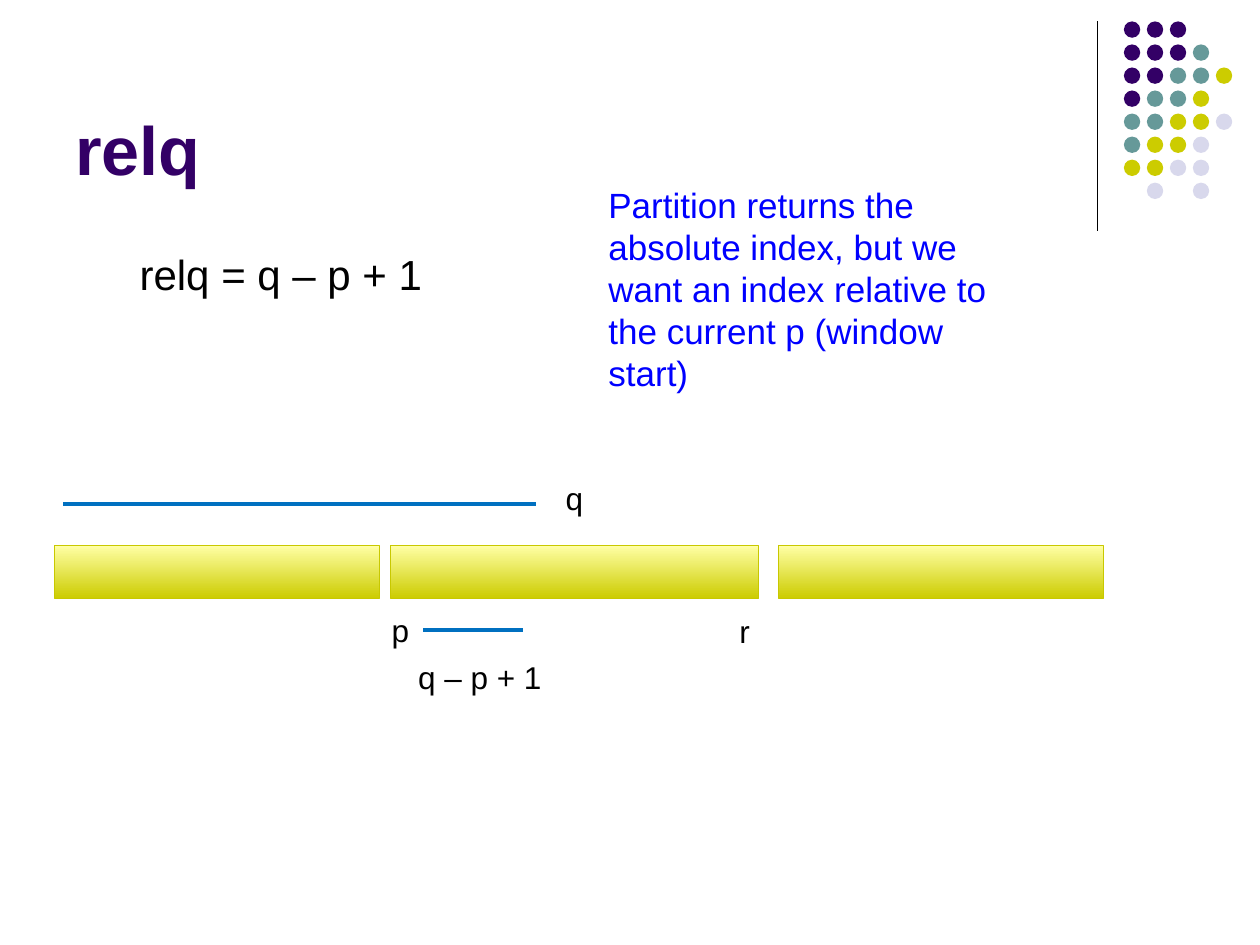
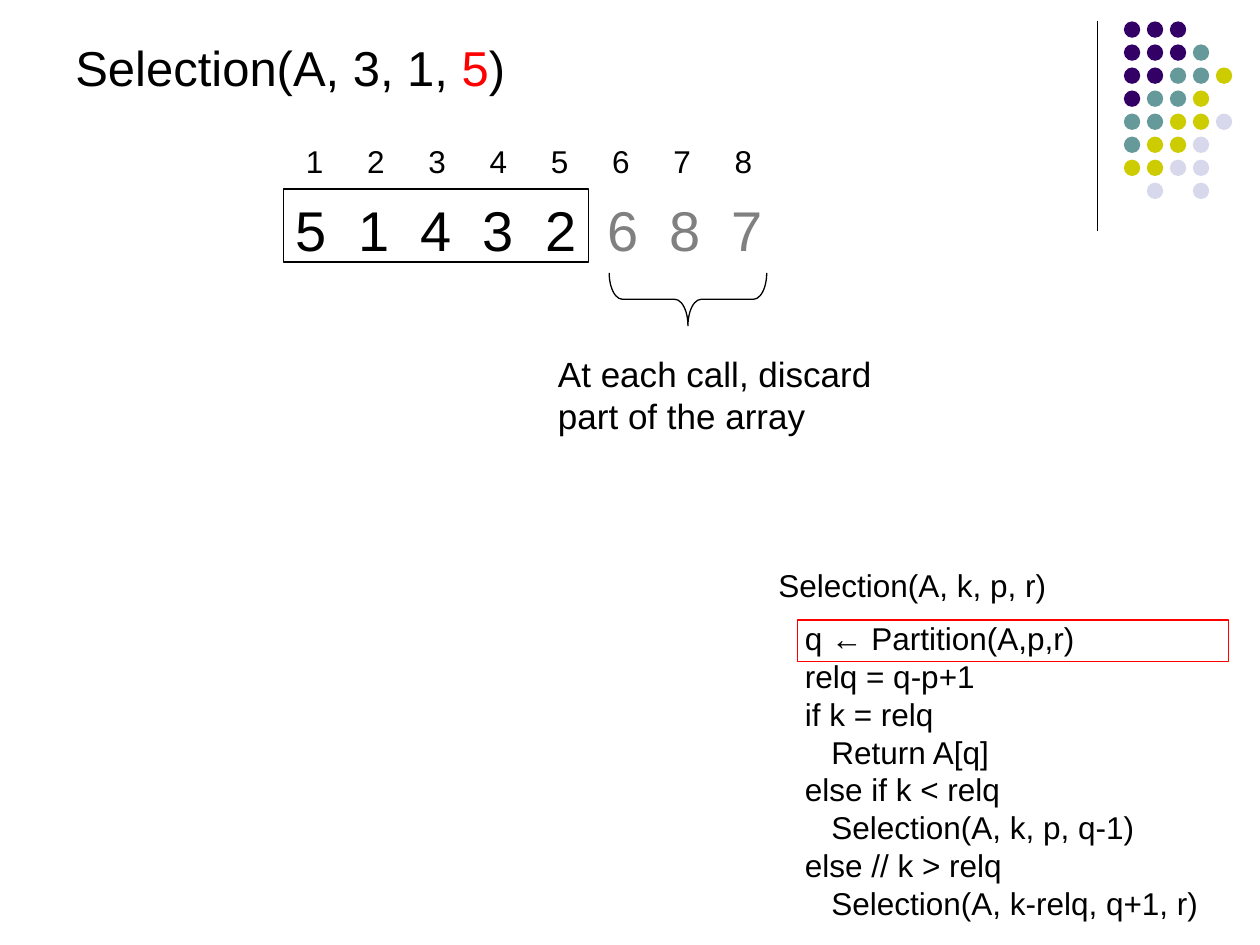
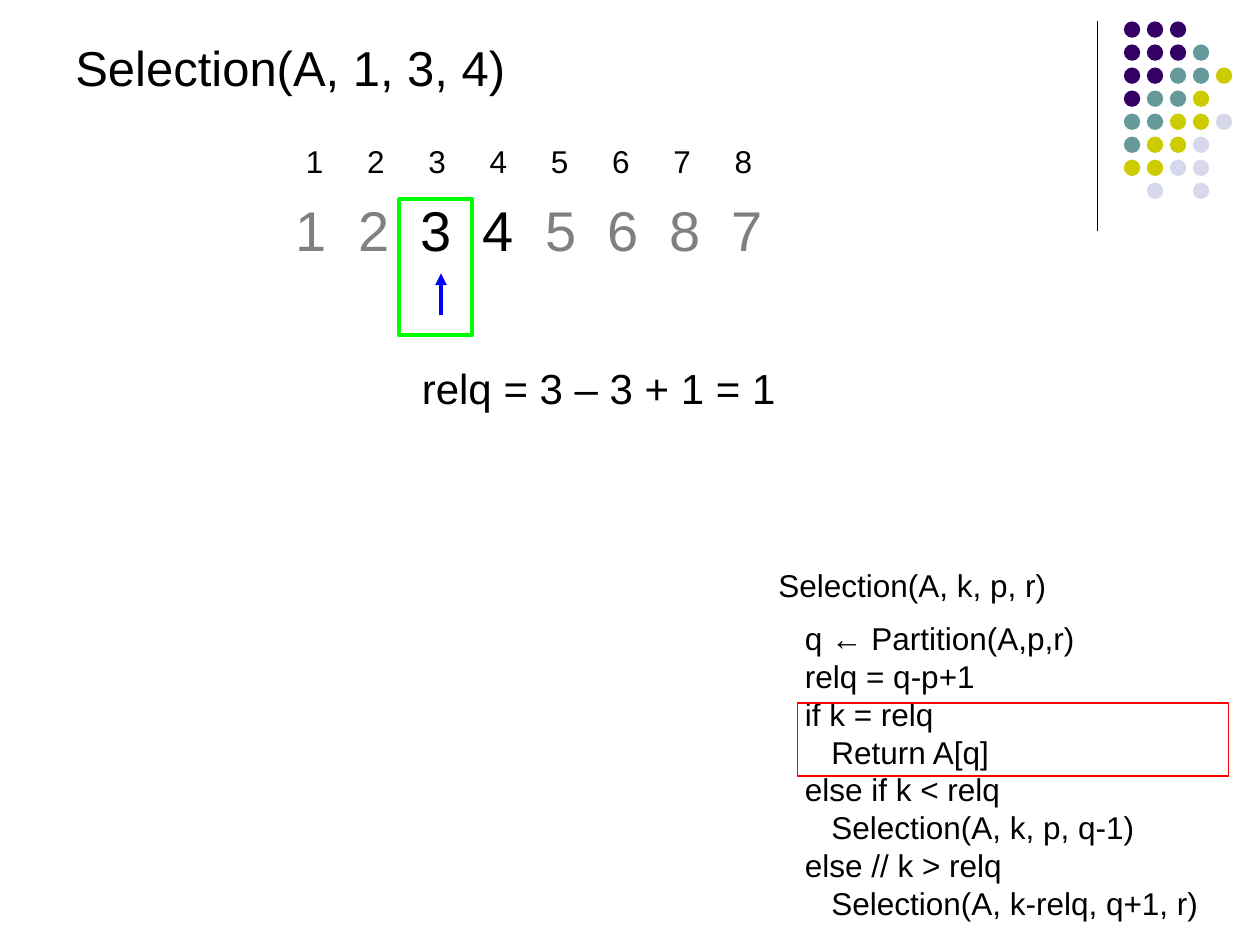
from dataclasses import dataclass

from lxml import etree
from pptx import Presentation
from pptx.dml.color import RGBColor
from pptx.enum.shapes import MSO_CONNECTOR, MSO_SHAPE
from pptx.enum.text import MSO_ANCHOR, MSO_AUTO_SIZE
from pptx.oxml.ns import qn
from pptx.util import Inches, Pt

RECTANGLE, ELLIPSE, BRACE = MSO_SHAPE.RECTANGLE, MSO_SHAPE.OVAL, MSO_SHAPE.LEFT_BRACE
STRAIGHT = MSO_CONNECTOR.STRAIGHT
TOP, BOTTOM = MSO_ANCHOR.TOP, MSO_ANCHOR.BOTTOM
GROW, FIXED = MSO_AUTO_SIZE.SHAPE_TO_FIT_TEXT, MSO_AUTO_SIZE.NONE


@dataclass(frozen=True)
class Theme:
    font: str = "Arial"
    black: str = "000000"
    grey: str = "808080"
    purple: str = "330066"
    teal: str = "669999"
    olive: str = "CCCC00"
    lavender: str = "D8D8EC"
    pale_yellow: str = "FFFFA5"
    bar_edge: str = "C8C800"
    blue: str = "0000FF"
    span_blue: str = "0070C0"
    red: str = "FF0000"
    green: str = "00FF00"
    title: int = 39
    digit: int = 32
    call: int = 28
    formula: int = 24
    note: int = 20
    label: int = 18
    thin: float = 0.75
    medium: float = 2
    thick: float = 2.25


THEME = Theme()


@dataclass(frozen=True)
class Box:
    left: float
    top: float
    width: float
    height: float

    def inside(self, left, top, width, height):
        return Box(self.left + left, self.top + top, width, height)

    def lengths(self):
        return [Inches(v) for v in (self.left, self.top, self.width, self.height)]


DOT_BOX = Box(8.92, 0.17, 0.86, 1.41)
DOT_SIZE = 0.13
DOT_COLOURS = {"P": THEME.purple, "T": THEME.teal, "O": THEME.olive, "L": THEME.lavender}
DOT_ROWS = ["PPP..", "PPPT.", "PPTTO", "PTTO.", "TTOOL", "TOOL.", "OOLL.", ".L.L."]

TITLE_BOX = Box(0.5, 0.13, 8.25, 1.42)
CALL_BOX = Box(0.5, 0.25, 6.42, 0.57)
ARRAY_BOX = Box(2.25, 1.08, 4.58, 1.05)
CODE_BOX = Box(6.08, 4.44, 3.75, 2.98)
PARTITION_BOX = Box(0.43, 3.75, 8.33, 1.82)

# Each line of pseudocode with its indent level
CODE_LINES = [
    (0, "Selection(A, k, p, r)"),
    (1, "q ← Partition(A,p,r)"),
    (1, "relq = q-p+1"),
    (1, "if k = relq"),
    (2, "Return A[q]"),
    (1, "else if k < relq"),
    (2, "Selection(A, k, p, q-1)"),
    (1, "else // k > relq"),
    (2, "Selection(A, k-relq, q+1, r)"),
]
CODE_INDENT = 0.21


def rgb(colour):
    return RGBColor.from_string(colour)


def set_format(target, values):
    for name, value in values.items():
        setattr(target, name, value)


def set_line(shape, colour, width):
    shape.line.color.rgb = rgb(colour)
    shape.line.width = Pt(width)


def add_run(paragraph, text, size, colour=THEME.black, bold=False):
    run = paragraph.add_run()
    run.text = text
    set_format(run.font, {"name": THEME.font, "size": Pt(size), "bold": bold})
    run.font.color.rgb = rgb(colour)


def add_text_frame(slide, box, wrap=True, anchor=TOP, auto_size=GROW):
    frame = slide.shapes.add_textbox(*box.lengths()).text_frame
    set_format(frame, {"word_wrap": wrap, "vertical_anchor": anchor, "auto_size": auto_size})
    return frame


def add_text(slide, box, text, size, colour=THEME.black, wrap=True):
    frame = add_text_frame(slide, box, wrap)
    add_run(frame.paragraphs[0], text, size, colour)


def add_outline(slide, box, colour, width, kind=RECTANGLE):
    shape = slide.shapes.add_shape(kind, *box.lengths())
    shape.shadow.inherit = False
    shape.fill.background()
    set_line(shape, colour, width)
    return shape


def add_line(slide, start, end, colour, width, arrow=False):
    points = [Inches(value) for value in (*start, *end)]
    connector = slide.shapes.add_connector(STRAIGHT, *points)
    set_line(connector, colour, width)
    if arrow:
        line = connector.line._get_or_add_ln()
        etree.SubElement(line, qn("a:tailEnd"), type="triangle")
    etree.SubElement(connector._element.spPr, qn("a:effectLst"))


def add_corner(slide, box):
    """Vertical rule and the grid of coloured dots."""
    add_line(slide, (box.left - 0.21, box.top), (box.left - 0.21, box.top + 1.66),
             THEME.black, THEME.thin)
    column_step = (box.width - DOT_SIZE) / (len(DOT_ROWS[0]) - 1)
    row_step = (box.height - DOT_SIZE) / (len(DOT_ROWS) - 1)
    group = slide.shapes.add_group_shape()
    for row, codes in enumerate(DOT_ROWS):
        for column, code in enumerate(codes):
            if code not in DOT_COLOURS:
                continue
            dot_box = box.inside(column * column_step, row * row_step, DOT_SIZE, DOT_SIZE)
            dot = group.shapes.add_shape(ELLIPSE, *dot_box.lengths())
            dot.shadow.inherit = False
            dot.fill.solid()
            dot.fill.fore_color.rgb = rgb(DOT_COLOURS[code])
            dot.line.fill.background()


def add_slide(presentation):
    slide = presentation.slides.add_slide(presentation.slide_layouts[6])
    add_corner(slide, DOT_BOX)
    return slide


def add_title(slide, box, text):
    frame = add_text_frame(slide, box, anchor=BOTTOM, auto_size=FIXED)
    add_run(frame.paragraphs[0], text, THEME.title, THEME.purple, bold=True)


def add_bar(slide, box):
    bar = add_outline(slide, box, THEME.bar_edge, THEME.thin)
    bar.fill.gradient()
    bar.fill.gradient_angle = 90
    for stop, colour in zip(bar.fill.gradient_stops, (THEME.olive, THEME.pale_yellow)):
        stop.color.rgb = rgb(colour)
    for stop, position in zip(bar.fill.gradient_stops, (0, 1)):
        stop.position = position


def add_partition_diagram(slide, box):
    # Array parts before, inside and after the window
    for left, width in ((0, 2.58), (2.67, 2.92), (5.75, 2.58)):
        add_bar(slide, box.inside(left, 0.58, width, 0.42))
    # Absolute and relative spans
    for left, top, width in ((0.07, 0.25, 3.75), (2.93, 1.25, 0.79)):
        x, y = box.left + left, box.top + top
        add_line(slide, (x, y), (x + width, y), THEME.span_blue, THEME.medium)
    # Index names
    for text, left, top, width in (("q", 3.96, 0, 0.34), ("p", 2.58, 1.05, 0.34),
                                   ("r", 5.34, 1.06, 0.29), ("q – p + 1", 2.79, 1.42, 1.19)):
        add_text(slide, box.inside(left, top, width, 0.4), text, THEME.label, wrap=False)


def add_tabbed_row(slide, box, items, size, pitch):
    """Items of (text, colour) set on equally spaced tab stops."""
    paragraph = add_text_frame(slide, box).paragraphs[0]
    tab_list = etree.SubElement(paragraph._p.get_or_add_pPr(), qn("a:tabLst"))
    for position, (text, colour) in enumerate(items):
        if position:
            etree.SubElement(tab_list, qn("a:tab"), pos=str(Pt(pitch * position)), algn="l")
            text = "\t" + text
        add_run(paragraph, text, size, colour)


def add_array(slide, box, digits, first, last):
    """Index row over the digits; those outside first to last are greyed."""
    indexes = range(1, len(digits) + 1)
    add_tabbed_row(slide, box.inside(0.08, 0, 4.17, 0.4),
                   [(str(index), THEME.black) for index in indexes], THEME.label, 35)
    add_tabbed_row(slide, box.inside(0, 0.42, box.width, 0.63),
                   [(digit, THEME.black if first <= index <= last else THEME.grey)
                    for index, digit in zip(indexes, digits)], THEME.digit, 35.6)


def add_code(slide, box, highlight_top, highlight_height):
    frame = add_text_frame(slide, box)
    for number, (level, text) in enumerate(CODE_LINES):
        paragraph = frame.add_paragraph() if number else frame.paragraphs[0]
        paragraph._p.get_or_add_pPr().set("marL", str(Inches(CODE_INDENT * level)))
        if number == 1:
            paragraph.space_before = Pt(9)
        add_run(paragraph, text, THEME.label)
    # Frame around the current step
    add_outline(slide, box.inside(0.25, highlight_top, 3.42, highlight_height),
                THEME.red, THEME.thin)


def add_call(slide, box, runs):
    paragraph = add_text_frame(slide, box).paragraphs[0]
    for text, colour in runs:
        add_run(paragraph, text, THEME.call, colour)


def build_relq_slide(presentation):
    slide = add_slide(presentation)
    add_title(slide, TITLE_BOX, "relq")
    add_text(slide, Box(1.01, 1.92, 2.47, 0.5), "relq = q – p + 1", THEME.formula, wrap=False)
    add_text(slide, Box(4.73, 1.41, 3.42, 1.78),
             "Partition returns the absolute index, but we want an index relative to "
             "the current p (window start)", THEME.note, THEME.blue)
    add_partition_diagram(slide, PARTITION_BOX)


def build_selection_slide(presentation, call_runs, digits, window, highlight):
    slide = add_slide(presentation)
    add_call(slide, CALL_BOX, call_runs)
    add_array(slide, ARRAY_BOX, digits, *window)
    add_code(slide, CODE_BOX, *highlight)
    return slide


def add_discard_note(slide, box):
    # Remaining part, discarded part and its caption
    add_outline(slide, box.inside(0, 0.42, 2.42, 0.58), THEME.black, THEME.thin)
    brace = add_outline(slide, box.inside(3, 0.67, 0.42, 1.25), THEME.black, THEME.thin, BRACE)
    brace.rotation = 270
    brace.adjustments[0] = 0.25
    add_text(slide, box.inside(2.08, 1.67, 2.75, 0.77),
             "At each call, discard part of the array", THEME.note)


def add_pivot_note(slide, box):
    # Pivot frame, arrow and relative index
    x = box.left + 1.25
    add_line(slide, (x, box.top + 1.42), (x, box.top + 1.09), THEME.blue, THEME.thick, arrow=True)
    add_outline(slide, box.inside(0.92, 0.5, 0.58, 1.08), THEME.green, THEME.thick)
    add_text(slide, box.inside(1, 1.75, 3.83, 0.51), "relq = 3 – 3 + 1 = 1", THEME.formula)


def main():
    presentation = Presentation()
    set_format(presentation, {"slide_width": Inches(10), "slide_height": Inches(7.5)})
    build_relq_slide(presentation)
    discard_slide = build_selection_slide(
        presentation,
        [("Selection(A, 3, 1, ", THEME.black), ("5", THEME.red), (")", THEME.black)],
        "51432687", window=(1, 5), highlight=(0.48, 0.33))
    add_discard_note(discard_slide, ARRAY_BOX)
    pivot_slide = build_selection_slide(
        presentation, [("Selection(A, 1, 3, 4)", THEME.black)],
        "12345687", window=(3, 4), highlight=(1.14, 0.58))
    add_pivot_note(pivot_slide, ARRAY_BOX)
    presentation.save("out.pptx")


if __name__ == "__main__":
    main()
